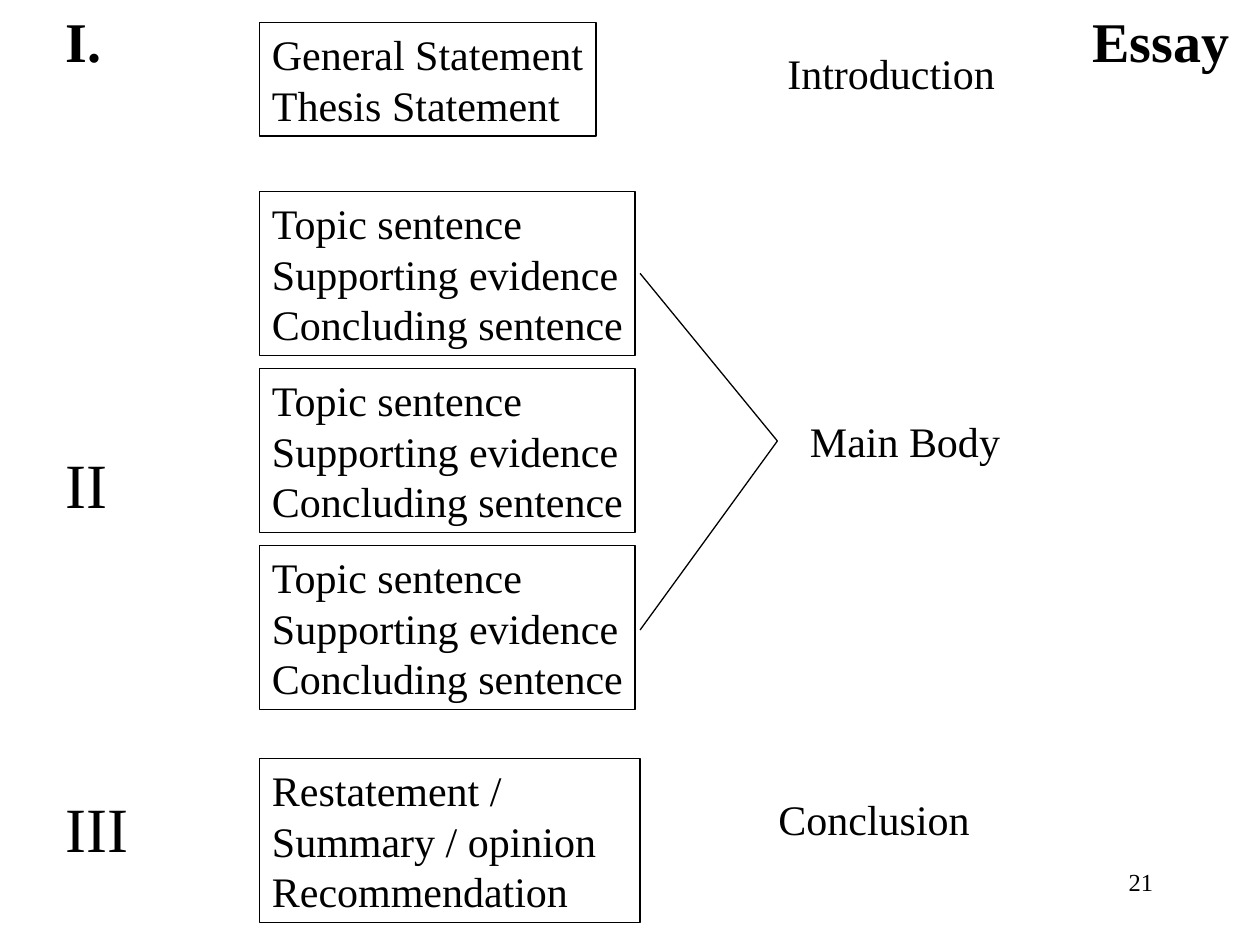
from dataclasses import dataclass

from lxml import etree
from pptx import Presentation
from pptx import util as u
from pptx.dml.color import RGBColor
from pptx.enum import shapes, text
from pptx.oxml import ns

COLORS = {"ink": "000000", "paper": "FFFFFF"}
FONT = "Times New Roman"
WIDTH, HEIGHT = 10, 7.5
BOX_LEFT = 2.06
BODY_TOP, BODY_PITCH = 1.52, 1.405
MERGE = (6.17, 3.5)  # where the two bracket lines meet


@dataclass
class Block:
    """A piece of text and its frame in inches."""
    lines: list[str]
    left: float
    top: float
    width: float
    height: float


PARAGRAPH = ["Topic sentence", "Supporting evidence", "Concluding sentence"]
OUTLINES = [
    Block(["General Statement", "Thesis Statement"], BOX_LEFT, 0.18, 2.67, 0.9),
    *[Block(PARAGRAPH, BOX_LEFT, BODY_TOP + row * BODY_PITCH, 2.98, 1.3)
      for row in range(3)],
    Block(["Restatement /", "Summary / opinion", "Recommendation"],
          BOX_LEFT, 6.02, 3.02, 1.3),
]
LABELS = [
    Block(["Introduction"], 6.15, 0.33, 1.85, 0.5),
    Block(["Main Body"], 6.33, 3.25, 1.71, 0.5),
    Block(["Conclusion"], 6.08, 6.25, 1.8, 0.5),
]


def color(name: str) -> RGBColor:
    return RGBColor.from_string(COLORS[name])


def place(box, block: Block) -> None:
    box.left, box.top = u.Inches(block.left), u.Inches(block.top)
    box.width, box.height = u.Inches(block.width), u.Inches(block.height)


def write(para, words: str, *, size: float = 24, bold: bool = False,
          align=text.PP_ALIGN.LEFT, before: float = 0) -> None:
    para.alignment = align
    para.space_before = u.Pt(before)
    para.line_spacing = 1.0
    span = para.add_run()
    span.text = words
    span.font.name, span.font.size, span.font.bold = FONT, u.Pt(size), bold
    span.font.color.rgb = color("ink")


def prepare(box, wrap: bool):
    frame = box.text_frame
    frame.word_wrap = wrap
    frame.auto_size = text.MSO_AUTO_SIZE.NONE
    frame.vertical_anchor = text.MSO_ANCHOR.TOP
    return frame


def add_text(page, block: Block, *, outlined: bool = False,
             wrap: bool = False, **style) -> None:
    box = page.shapes.add_textbox(0, 0, 0, 0)
    place(box, block)
    if outlined:
        box.line.color.rgb = color("ink")
        box.line.width = u.Pt(0.75)
    frame = prepare(box, wrap)
    for index, line in enumerate(block.lines):
        para = frame.add_paragraph() if index else frame.paragraphs[0]
        write(para, line, **style)


def add_line(page, start: tuple[float, float], end: tuple[float, float]) -> None:
    line = page.shapes.add_connector(
        shapes.MSO_CONNECTOR.STRAIGHT, *map(u.Inches, start + end))
    line.line.color.rgb = color("ink")
    line.line.width = u.Pt(0.75)
    etree.SubElement(line._element.spPr, ns.qn("a:effectLst"))


def add_numerals(box) -> None:
    """Section numerals, spaced down the left edge in one list."""
    place(box, Block([], 0.42, 0, 8.92, HEIGHT))
    frame = prepare(box, True)
    numerals = [("I.", 32, True, 0), ("II", 36, False, 212.3),
                ("III", 36, False, 153.9)]
    for index, (words, size, bold, before) in enumerate(numerals):
        para = frame.add_paragraph() if index else frame.paragraphs[0]
        write(para, words, size=size, bold=bold, before=before)
        properties = para._p.get_or_add_pPr()
        properties.set("marL", "0")
        properties.set("indent", "0")
        etree.SubElement(properties, ns.qn("a:buNone"))


def main() -> None:
    deck = Presentation()
    deck.slide_width, deck.slide_height = u.Inches(WIDTH), u.Inches(HEIGHT)
    page = deck.slides.add_slide(deck.slide_layouts[1])
    page.background.fill.solid()
    page.background.fill.fore_color.rgb = color("paper")

    # Title and numerals
    title = page.shapes.title
    place(title, Block([], 8.57, 0, 1.43, 0.64))
    write(prepare(title, True).paragraphs[0], "Essay", size=32, bold=True)
    add_numerals(page.placeholders[1])

    # Outline boxes and section labels
    for block in OUTLINES:
        add_text(page, block, outlined=True)
    for block in LABELS:
        add_text(page, block)

    # Bracket joining the body paragraphs
    for top in (2.17, 5):
        add_line(page, (5.08, top), MERGE)

    # Page number
    add_text(page, Block(["21"], 7.17, 6.83, 2.08, 0.5), wrap=True,
             size=14, align=text.PP_ALIGN.RIGHT)

    deck.save("out.pptx")


if __name__ == "__main__":
    main()
